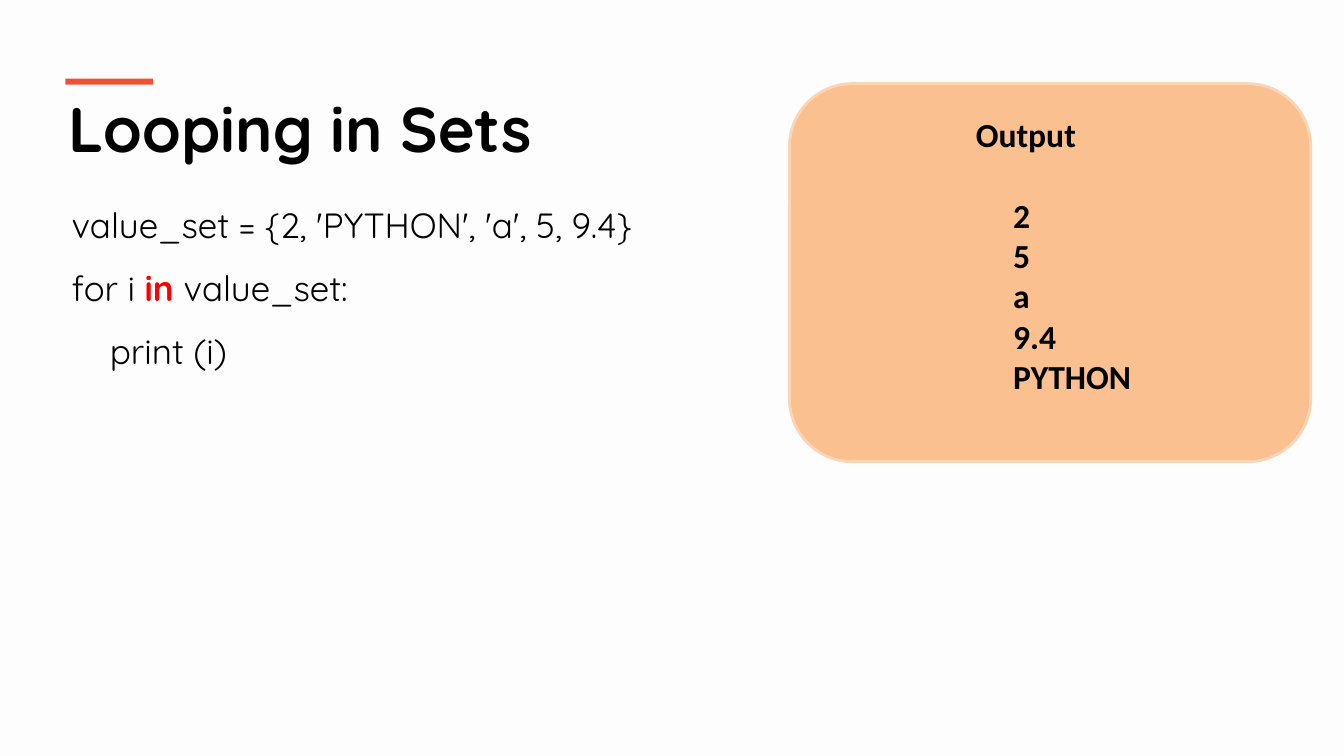
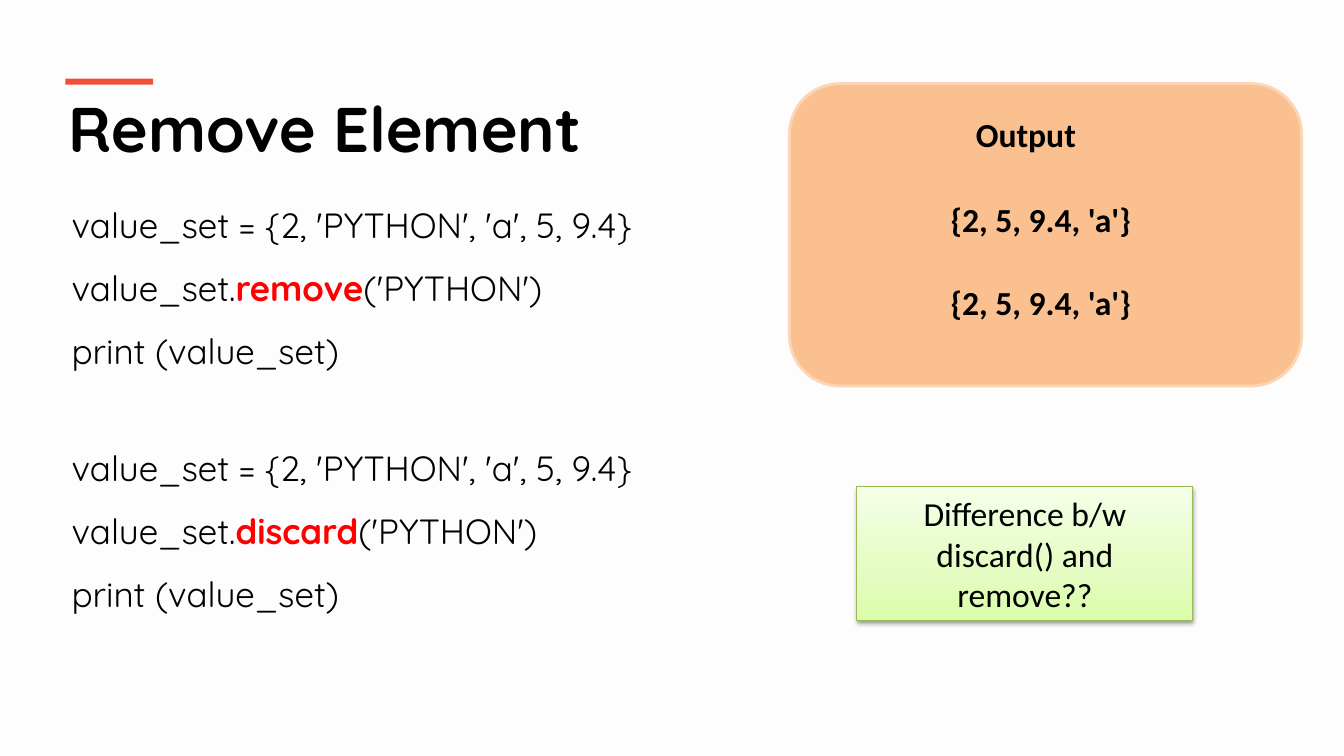
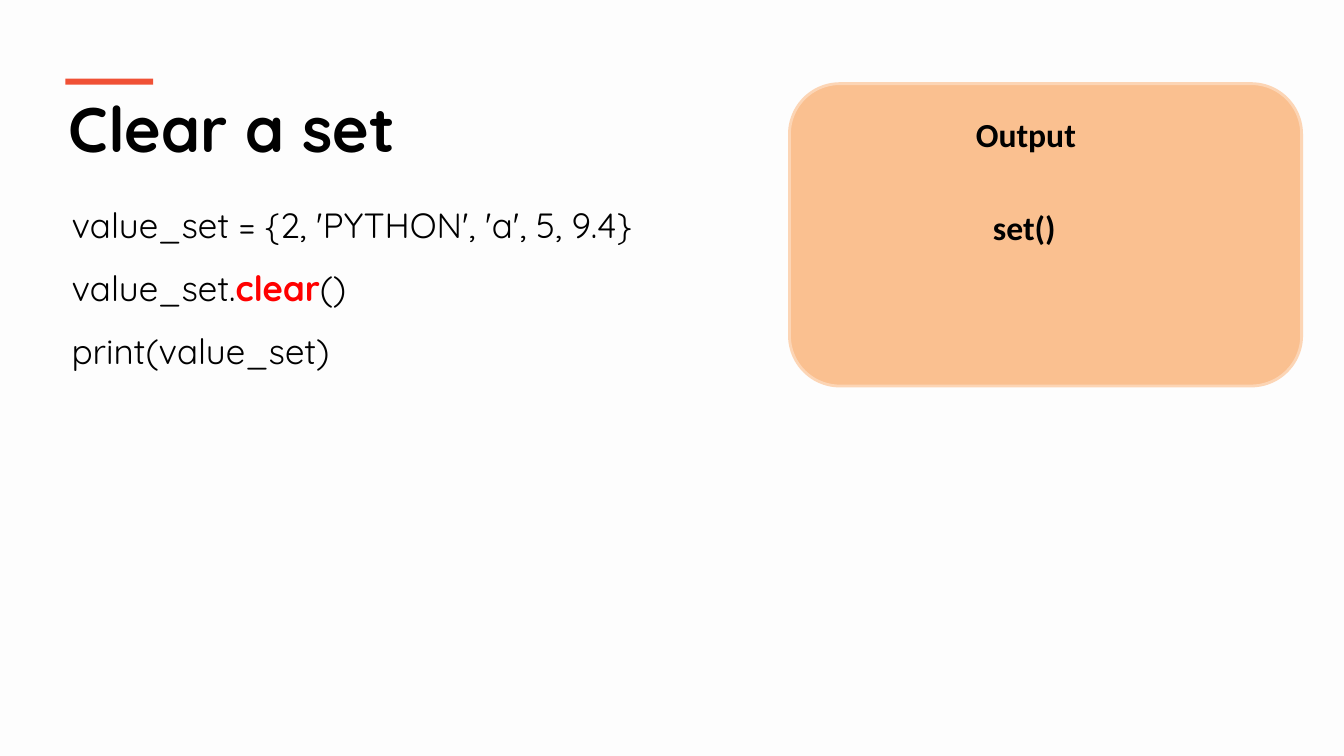
from lxml import etree
from pptx import Presentation, util as u
from pptx.dml.color import RGBColor
from pptx.enum import shapes as sh, text as tx
from pptx.oxml.ns import qn

PX = u.Inches(1) // 100
PAGE = RGBColor(0xFD, 0xFD, 0xFD)
INK = RGBColor(0, 0, 0)
RED = RGBColor(0xFF, 0, 0)
ACCENT = RGBColor(0xF0, 0x51, 0x36)
PANEL = RGBColor(0xFA, 0xC0, 0x90)
EDGE = RGBColor(0xFC, 0xD5, 0xB5)
GREEN = RGBColor(0x98, 0xB9, 0x55)
FADE = [(0, "DAFDA7"), (35, "E4FCC2"), (100, "F5FFE7")]
HEAD, CODE, PLAIN = ("Quicksand", 45, True), ("Quicksand", 25, False), ("Calibri", 24, False)
BOLD = ("Calibri", 24, True)

# Each code line is (indent, before, keyword, after).
MAKE = (0, "value_set = {2, 'PYTHON', 'a', 5, 9.4}", "", "")
SHOW = (0, "print (value_set)", "", "")
LEFT = ["{2, 5, 9.4, 'a'}"]

SLIDES = [
    dict(title="Looping in Sets",
         blocks=[(176, 263, [MAKE, (0, "for i ", "in ", "value_set:"),
                             (38, "print (i)", "", "")])],
         panel=(517, 375),
         output=[(995, 188, 138, 212, ["2", "5", "a", "9.4", "PYTHON"])]),
    dict(title="Remove Element",
         blocks=[(top, 199, [MAKE, (0, "value_set.", verb, "('PYTHON')"), SHOW])
                 for top, verb in ((176, "remove"), (417, "discard"))],
         panel=(508, 300),
         output=[(933, top, 202, 50, LEFT) for top in (192, 275)],
         note="Difference b/w discard() and remove??"),
    dict(title="Clear a set",
         blocks=[(176, 194, [MAKE, (0, "value_set.", "clear", "()"),
                             (0, "print(value_set)", "", "")])],
         panel=(508, 300),
         output=[(975, 200, 83, 50, ["set()"])]),
]


def place(shape, *box):
    shape.left, shape.top, shape.width, shape.height = (n * PX for n in box)


def style(para, face):
    font = para.font
    font.name, size, font.bold = face
    font.size = u.Pt(size)
    font.color.rgb = INK


def add_shape(slide, kind, box, fill=None, line=None, width=0):
    shape = slide.shapes.add_shape(kind, *(n * PX for n in box))
    shape.shadow.inherit = False
    if fill is not None:
        shape.fill.solid()
        shape.fill.fore_color.rgb = fill
    if line is None:
        shape.line.fill.background()
    else:
        shape.line.color.rgb = line
        shape.line.width = u.Pt(width)
    return shape


def add_title(slide, words):
    title = slide.shapes.title
    place(title, 58, 84, 1218, 86)
    title.text = words
    frame = title.text_frame
    frame.auto_size = tx.MSO_AUTO_SIZE.NONE
    frame.vertical_anchor = tx.MSO_ANCHOR.TOP
    para = frame.paragraphs[0]
    para.alignment = tx.PP_ALIGN.LEFT
    style(para, HEAD)
    add_shape(slide, sh.MSO_SHAPE.RECTANGLE, (65, 78, 87, 6), ACCENT)


def add_code(body, top, height, lines):
    place(body, 61, top, 1214, height)
    frame = body.text_frame
    frame.auto_size = tx.MSO_AUTO_SIZE.NONE
    for i, (indent, before, key, after) in enumerate(lines):
        para = frame.add_paragraph() if i else frame.paragraphs[0]
        para.line_spacing = 1.5
        para.space_before = u.Pt(0)
        props = para._p.get_or_add_pPr()
        props.set("marL", str(indent * PX))
        props.set("indent", "0")
        etree.SubElement(props, qn("a:buNone"))
        style(para, CODE)
        for words in filter(None, (before, key, after)):
            run = para.add_run()
            run.text = words
            if words == key:
                run.font.bold = True
                run.font.color.rgb = RED


def add_label(slide, left, top, width, height, lines):
    box = slide.shapes.add_textbox(*(n * PX for n in (left, top, width, height)))
    frame = box.text_frame
    frame.word_wrap = False
    frame.text = "\n".join(lines)
    for para in frame.paragraphs:
        style(para, BOLD)


def add_note(slide, words):
    """Add the question box, with a three-stop fade and a soft shadow."""
    note = add_shape(slide, sh.MSO_SHAPE.RECTANGLE, (850, 483, 333, 133),
                     line=GREEN, width=0.75)
    note.fill.gradient()
    note.fill.gradient_angle = 90
    props = note._element.spPr
    stops = props.find(qn("a:gradFill")).find(qn("a:gsLst"))
    for old in list(stops):
        stops.remove(old)
    for pos, tint in FADE:
        stop = etree.SubElement(stops, qn("a:gs"), pos=str(pos * 1000))
        etree.SubElement(stop, qn("a:srgbClr"), val=tint)
    shade = etree.SubElement(props.find(qn("a:effectLst")), qn("a:outerShdw"),
                             blurRad="40000", dist="20000", dir="5400000", rotWithShape="0")
    color = etree.SubElement(shade, qn("a:srgbClr"), val=str(INK))
    etree.SubElement(color, qn("a:alpha"), val="38000")
    frame = note.text_frame
    frame.word_wrap = True
    frame.vertical_anchor = tx.MSO_ANCHOR.MIDDLE
    frame.text = words
    para = frame.paragraphs[0]
    para.alignment = tx.PP_ALIGN.CENTER
    style(para, PLAIN)


def build(deck, data):
    blocks = data["blocks"]
    # Layout 1 has one body, layout 3 has two.
    slide = deck.slides.add_slide(deck.slide_layouts[2 * len(blocks) - 1])
    add_title(slide, data["title"])
    bodies = list(slide.placeholders)[1:]
    for body, block in zip(bodies, blocks):
        add_code(body, *block)
    add_shape(slide, sh.MSO_SHAPE.ROUNDED_RECTANGLE, (783, 83, *data["panel"]), PANEL, EDGE, 2)
    for label in [(958, 108, 121, 50, ["Output"])] + data["output"]:
        add_label(slide, *label)
    if "note" in data:
        add_note(slide, data["note"])


def main():
    deck = Presentation()
    deck.slide_width, deck.slide_height = 1333 * PX, 750 * PX
    fill = deck.slide_master.background.fill
    fill.solid()
    fill.fore_color.rgb = PAGE
    for data in SLIDES:
        build(deck, data)
    deck.save("out.pptx")


if __name__ == "__main__":
    main()
